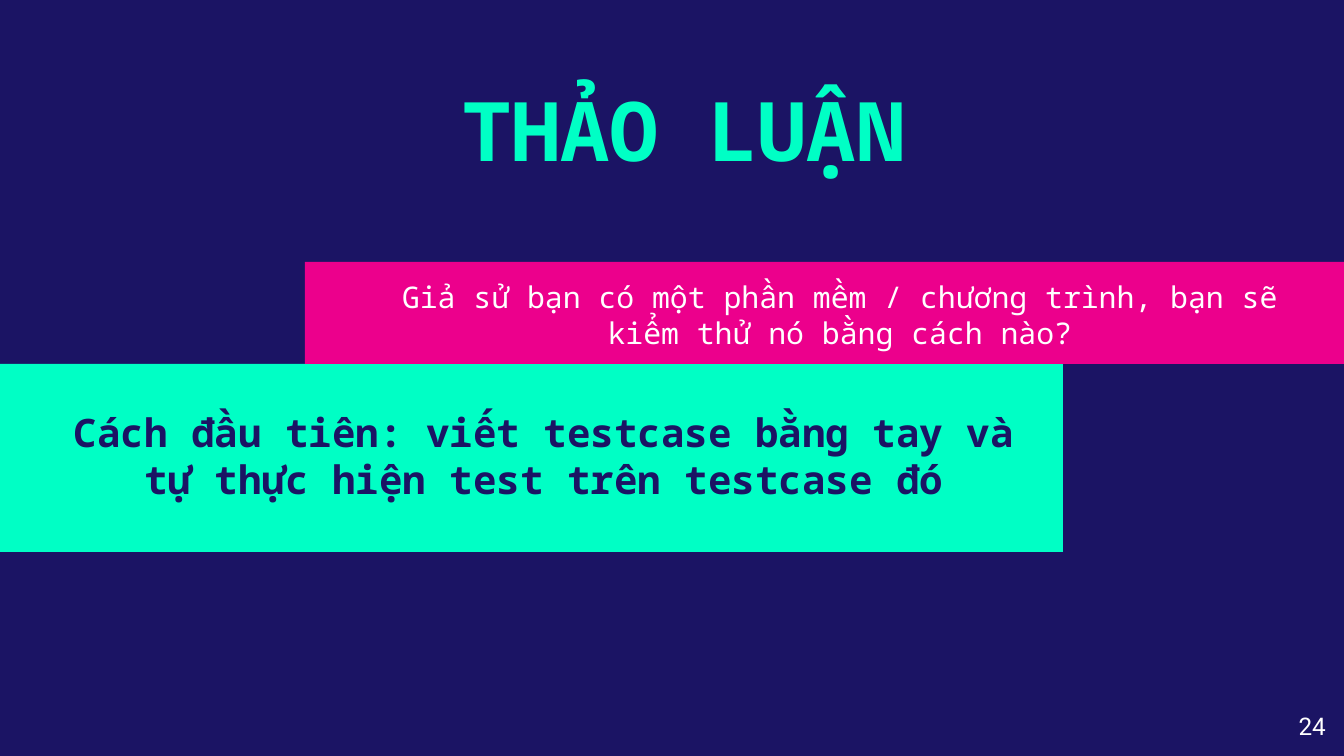
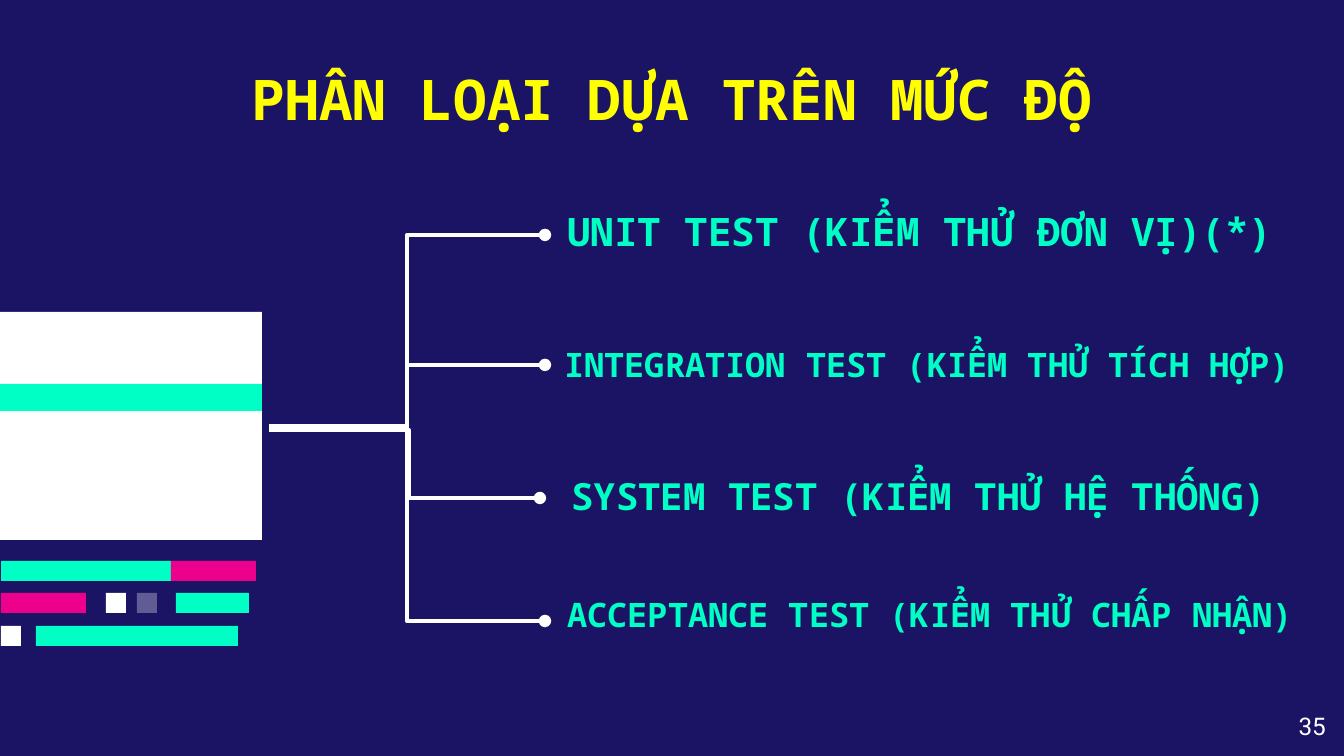
from lxml import etree
from pptx import Presentation
from pptx.dml.color import RGBColor
from pptx.enum.shapes import MSO_CONNECTOR, MSO_SHAPE
from pptx.enum.text import MSO_ANCHOR, MSO_AUTO_SIZE, PP_ALIGN
from pptx.oxml.ns import qn
from pptx.util import Emu, Inches, Pt

RECTANGLE = MSO_SHAPE.RECTANGLE
ELBOW = MSO_CONNECTOR.ELBOW
TOP, MIDDLE = MSO_ANCHOR.TOP, MSO_ANCHOR.MIDDLE
LEFT, CENTER, RIGHT = PP_ALIGN.LEFT, PP_ALIGN.CENTER, PP_ALIGN.RIGHT
NO_AUTOFIT = MSO_AUTO_SIZE.NONE

EMU_PER_PX = 914400 / 134.4
COLORS = {
    "navy": "1B1464",
    "teal": "00FFC5",
    "pink": "EC008C",
    "white": "FFFFFF",
    "yellow": "FFFF00",
}
MONO, SANS = "Noto Sans Mono", "Roboto"
TITLE_ONLY = 5

BLOCK_HEIGHT = 20
# Top of each row, then (left, width, colour, opacity in percent) of its blocks
CODE_ROWS = [
    (561, [(1, 170, "teal", 100), (171, 85, "pink", 100)]),
    (593, [(1, 85, "pink", 100), (106, 20, "white", 100),
           (137, 20, "white", 31), (176, 73, "teal", 100)]),
    (626, [(1, 20, "white", 100), (36, 202, "teal", 100)]),
]
# Text, size, left, top, width
TEST_LEVELS = [
    ("UNIT TEST (KIỂM THỬ ĐƠN VỊ)(*)", 21, 554, 211, 782),
    ("INTEGRATION TEST (KIỂM THỬ TÍCH HỢP)", 18, 551, 344, 782),
    ("SYSTEM TEST (KIỂM THỬ HỆ THỐNG)", 20, 558, 476, 759),
    ("ACCEPTANCE TEST (KIỂM THỬ CHẤP NHẬN)", 18, 554, 594, 782),
]
# Start, end, position of the bend as a share of the width
BRANCHES = [
    ((269, 430), (545, 235), 0.5),
    ((269, 430), (545, 365), 0.5),
    ((402, 430), (540, 498), 0.05),
    ((269, 426), (545, 621), 0.5),
]


def px(value):
    return Emu(round(value * EMU_PER_PX))


def color(name):
    return RGBColor.from_string(COLORS[name])


def write(shape, text, size, color_name, font=MONO, bold=False,
          align=LEFT, anchor=TOP, inset=0.1):
    """Fill a shape's text frame; inset is the top and bottom margin in inches."""
    frame = shape.text_frame
    frame.word_wrap = True
    frame.auto_size = NO_AUTOFIT
    frame.vertical_anchor = anchor
    frame.margin_left = frame.margin_right = Inches(0.1)
    frame.margin_top = frame.margin_bottom = Inches(inset)
    paragraph = frame.paragraphs[0]
    paragraph.alignment = align
    run = paragraph.add_run()
    run.text = text
    run.font.name = font
    run.font.size = Pt(size)
    run.font.bold = bold
    run.font.color.rgb = color(color_name)


def add_text(slide, box, text, size, color_name, **style):
    shape = slide.shapes.add_textbox(*map(px, box))
    write(shape, text, size, color_name, **style)


def add_block(slide, box, color_name, opacity=100):
    shape = slide.shapes.add_shape(RECTANGLE, *map(px, box))
    shape.shadow.inherit = False
    shape.line.fill.background()
    shape.fill.solid()
    shape.fill.fore_color.rgb = color(color_name)
    if opacity < 100:
        rgb = shape.fill._xPr.find(qn("a:solidFill"))[0]
        etree.SubElement(rgb, qn("a:alpha"), val=str(opacity * 1000))


def add_branch(slide, start, end, bend):
    """Draw an elbow connector that ends in a dot."""
    connector = slide.shapes.add_connector(ELBOW, *map(px, start + end))
    connector.line.width = Pt(2.25)
    connector.line.color.rgb = color("white")
    properties = connector._element.spPr
    etree.SubElement(properties.find(qn("a:ln")), qn("a:tailEnd"), type="oval")
    etree.SubElement(properties, qn("a:effectLst"))
    adjustments = properties.find(qn("a:prstGeom")).get_or_add_avLst()
    etree.SubElement(adjustments, qn("a:gd"), name="adj1",
                     fmla=f"val {round(bend * 100000)}")


def add_slide(presentation, title, left, top, size, color_name, number):
    """Add a slide with its title and page number."""
    slide = presentation.slides.add_slide(presentation.slide_layouts[TITLE_ONLY])
    shape = slide.shapes.title
    shape.left, shape.top, shape.width, shape.height = map(px, (left, top, 968, 98))
    write(shape, title, size, color_name, bold=True, align=CENTER)
    add_text(slide, (1258, 698, 81, 58), number, 13, "white", font=SANS, align=RIGHT)
    return slide


def build_discussion(presentation):
    slide = add_slide(presentation, "THẢO LUẬN", 200, 66, 44, "teal", "24")
    add_block(slide, (0, 364, 1063, 188), "teal")
    add_block(slide, (305, 262, 1039, 102), "pink")
    add_text(slide, (356, 265, 968, 99),
             "Giả sử bạn có một phần mềm / chương trình, bạn sẽ kiểm thử nó bằng cách nào?",
             16, "white", align=CENTER)
    add_text(slide, (60, 395, 968, 122),
             "Cách đầu tiên: viết testcase bằng tay và tự thực hiện test trên testcase đó",
             21, "navy", bold=True, align=CENTER)


def build_test_levels(presentation):
    slide = add_slide(presentation, "PHÂN LOẠI DỰA TRÊN MỨC ĐỘ",
                      188, 51, 30, "yellow", "35")
    add_block(slide, (0, 312, 262, 228), "white")
    add_block(slide, (0, 384, 262, 27), "teal")
    for top, blocks in CODE_ROWS:
        for left, width, color_name, opacity in blocks:
            add_block(slide, (left, top, width, BLOCK_HEIGHT), color_name, opacity)
    for text, size, left, top, width in TEST_LEVELS:
        add_text(slide, (left, top, width, 40), text, size, "teal",
                 bold=True, anchor=MIDDLE, inset=0)
    for start, end, bend in BRANCHES:
        add_branch(slide, start, end, bend)


def main():
    presentation = Presentation()
    presentation.slide_width, presentation.slide_height = px(1344), px(756)
    background = presentation.slide_master.background.fill
    background.solid()
    background.fore_color.rgb = color("navy")
    build_discussion(presentation)
    build_test_levels(presentation)
    presentation.save("out.pptx")


if __name__ == "__main__":
    main()
